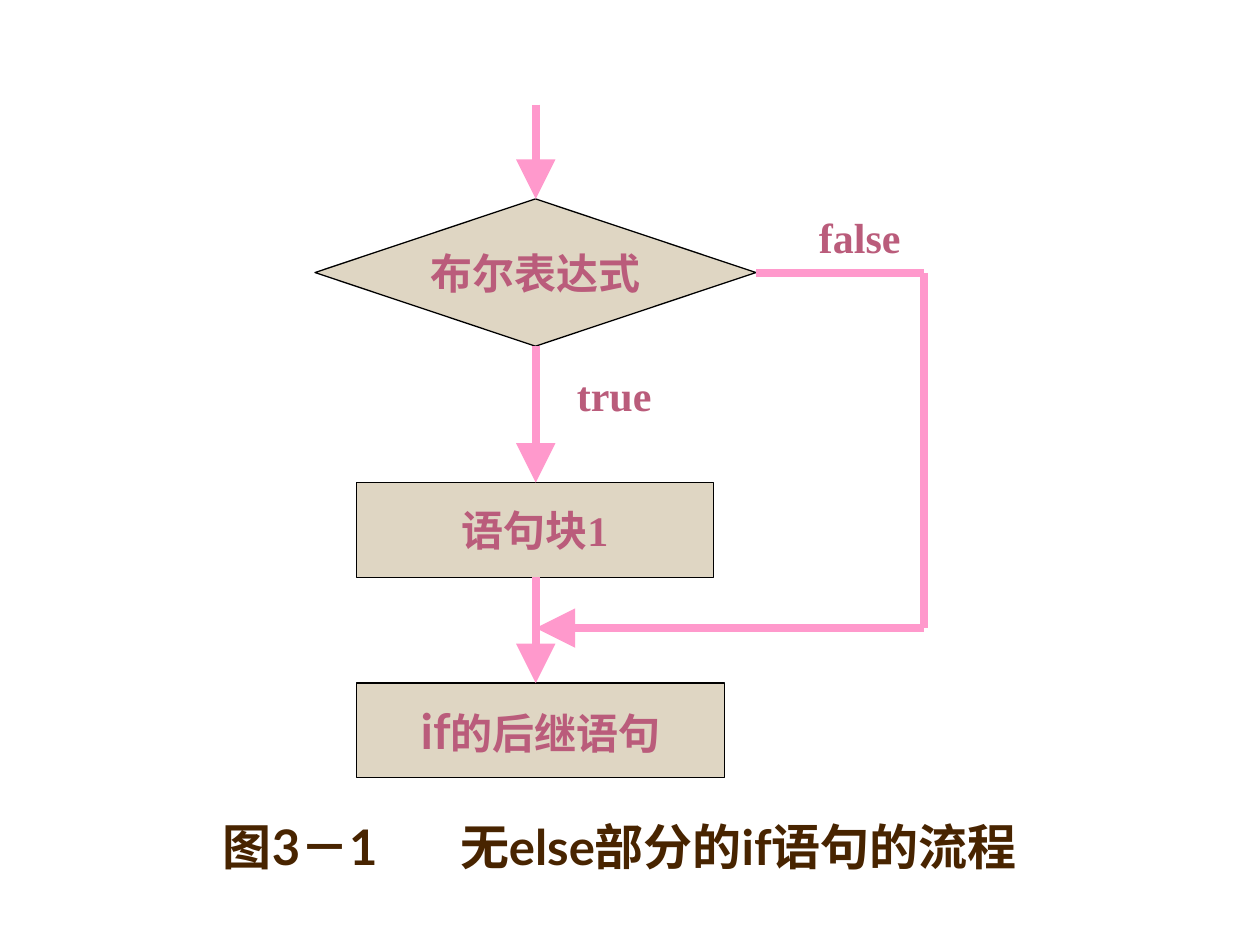
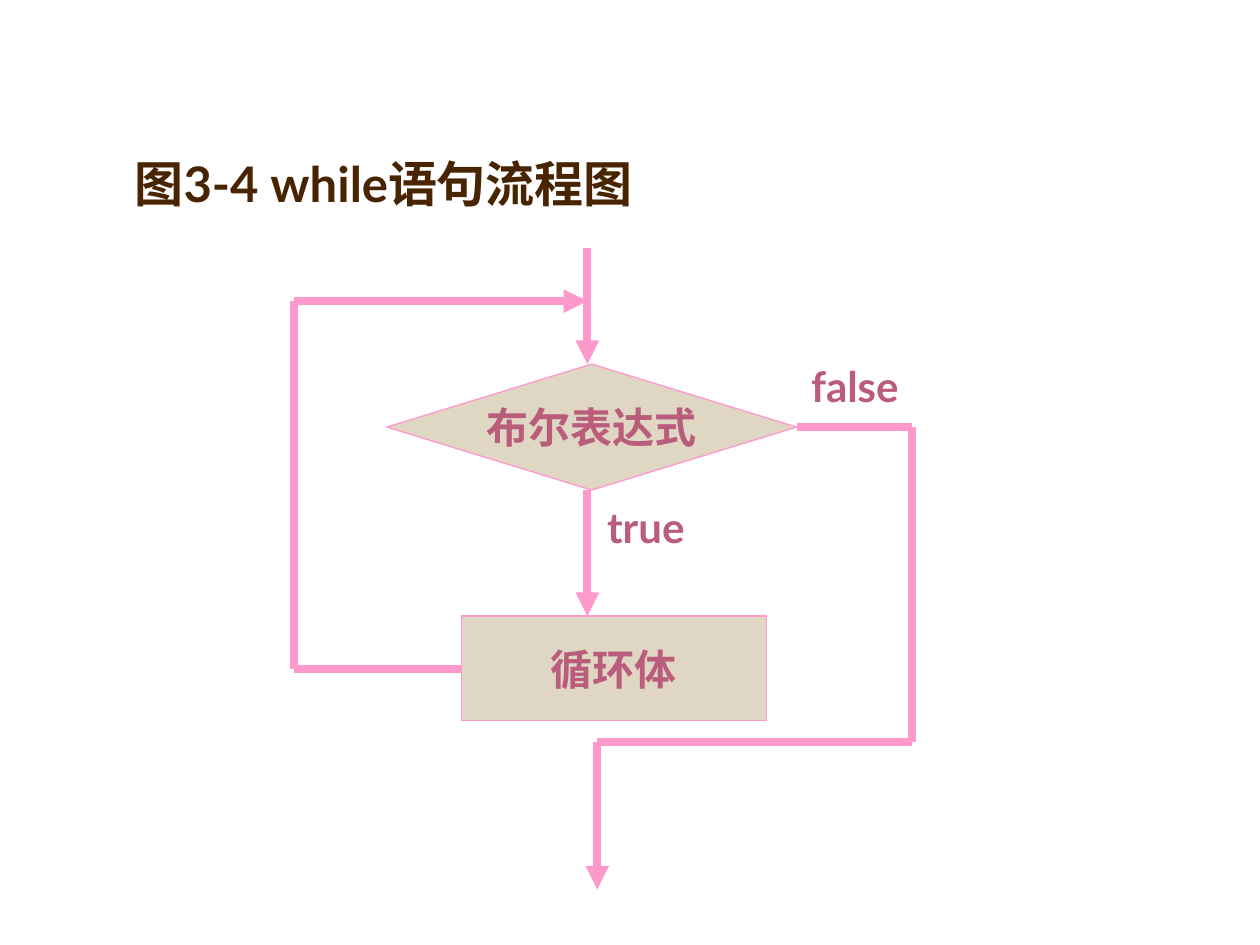
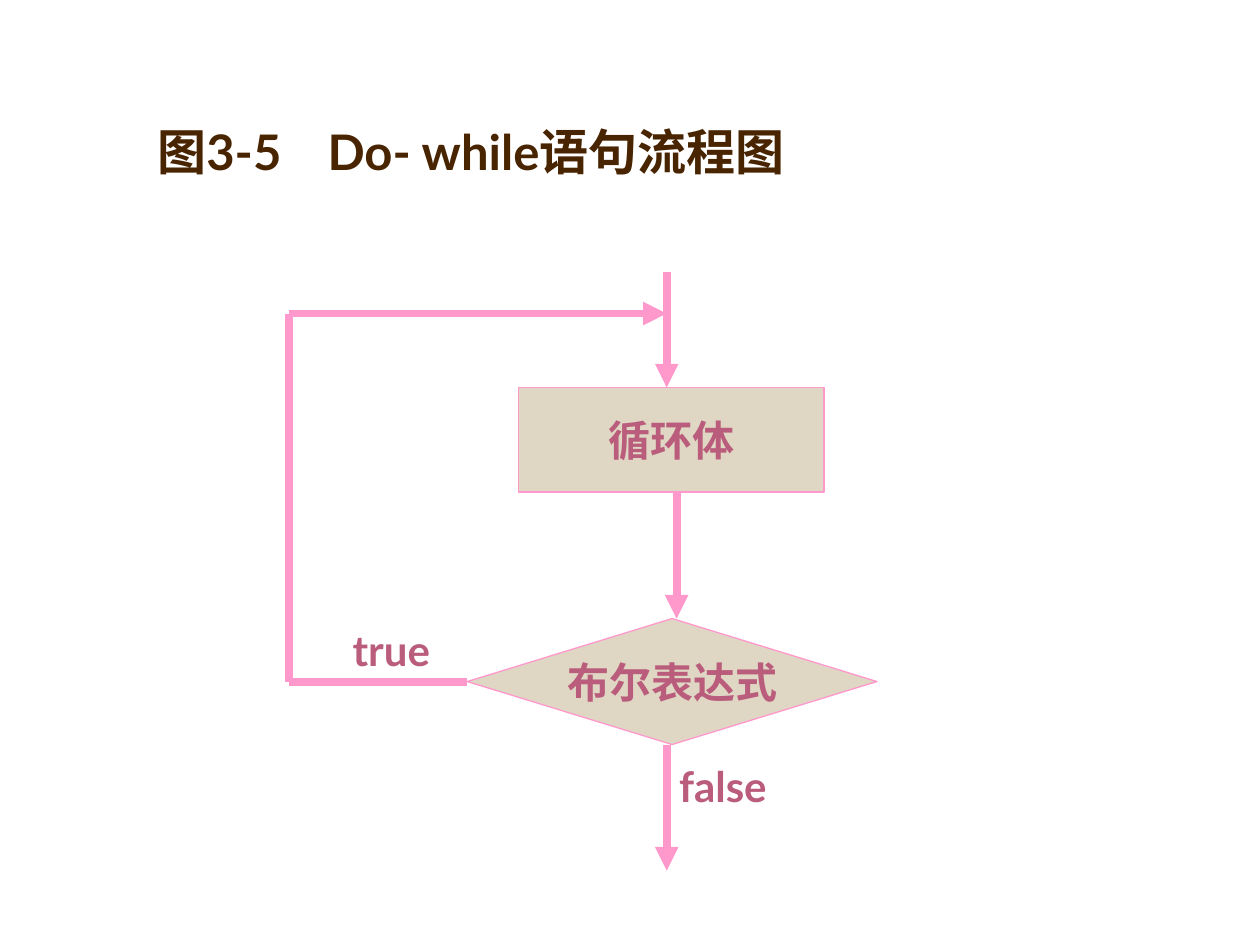
from itertools import pairwise

from lxml.etree import SubElement
from pptx import Presentation
from pptx.dml.color import RGBColor
from pptx.enum.lang import MSO_LANGUAGE_ID
from pptx.enum.shapes import MSO_CONNECTOR, MSO_SHAPE
from pptx.enum.text import MSO_ANCHOR, MSO_AUTO_SIZE, PP_ALIGN
from pptx.oxml.ns import qn
from pptx.util import Cm, Pt

PINK = RGBColor(0xFF, 0x99, 0xCC)
SAND = RGBColor(0xDF, 0xD6, 0xC3)
ROSE = RGBColor(0xBA, 0x5C, 0x7B)
BROWN = RGBColor(0x48, 0x24, 0x00)
BLACK = RGBColor(0x00, 0x00, 0x00)
SERIF = "Times New Roman"
SANS = "Lato"
LABEL_WIDTHS = {"true": 2.31, "false": 2.51}
LOOP_DIAMOND = (8.26, 2.54)
LOOP_BODY = (6.15, 2.11)


class Flowchart:
    def __init__(self, prs, outline=PINK, label_font=SANS, head="med"):
        self.slide = prs.slides.add_slide(prs.slide_layouts[5])
        self.outline = outline
        self.label_font = label_font
        self.head = head

    def format_run(self, r, font, size=24, color=ROSE):
        r.font.name = font
        r.font.size = Pt(size)
        r.font.bold = True
        r.font.color.rgb = color
        r.font.language_id = MSO_LANGUAGE_ID.SIMPLIFIED_CHINESE

    def title(self, text, x, y, w, tab=None):
        sp = self.slide.shapes.title
        sp.left, sp.top, sp.width, sp.height = Cm(x), Cm(y), Cm(w), Cm(1.45)
        tf = sp.text_frame
        tf.text = text
        tf.auto_size = MSO_AUTO_SIZE.NONE
        tf.vertical_anchor = MSO_ANCHOR.BOTTOM
        p = tf.paragraphs[0]
        p.alignment = PP_ALIGN.LEFT
        if tab:
            tabs = SubElement(p._p.get_or_add_pPr(), qn("a:tabLst"))
            SubElement(tabs, qn("a:tab"), pos=str(Cm(tab)), algn="l")
        self.format_run(p.runs[0], SANS, 28, BROWN)

    def node(self, kind, text, x, y, w, h, lead=None):
        sp = self.slide.shapes.add_shape(kind, Cm(x), Cm(y), Cm(w), Cm(h))
        sp.shadow.inherit = False
        sp.fill.solid()
        sp.fill.fore_color.rgb = SAND
        sp.line.color.rgb = self.outline
        sp.line.width = Pt(0.75)
        tf = sp.text_frame
        tf.word_wrap = False
        tf.vertical_anchor = MSO_ANCHOR.MIDDLE
        p = tf.paragraphs[0]
        p.alignment = PP_ALIGN.CENTER
        if lead:
            p.text = lead
            self.format_run(p.runs[0], SANS, 28)
        r = p.add_run()
        r.text = text
        self.format_run(r, SERIF)

    def decision(self, x, y, w, h):
        self.node(MSO_SHAPE.FLOWCHART_DECISION, "布尔表达式", x, y, w, h)

    def block(self, text, x, y, w, h, lead=None):
        self.node(MSO_SHAPE.RECTANGLE, text, x, y, w, h, lead)

    def label(self, text, x, y):
        sp = self.slide.shapes.add_textbox(Cm(x), Cm(y), Cm(LABEL_WIDTHS[text]), Cm(1.27))
        tf = sp.text_frame
        tf.text = text
        tf.word_wrap = False
        tf.auto_size = MSO_AUTO_SIZE.SHAPE_TO_FIT_TEXT
        self.format_run(tf.paragraphs[0].runs[0], self.label_font)

    def arrow(self, *points):
        for (x1, y1), (x2, y2) in pairwise(points):
            line = self.slide.shapes.add_connector(
                MSO_CONNECTOR.STRAIGHT, Cm(x1), Cm(y1), Cm(x2), Cm(y2))
            line.line.color.rgb = PINK
            line.line.width = Pt(4.5)
            SubElement(line._element.spPr, qn("a:effectLst"))
        SubElement(line.line._get_or_add_ln(), qn("a:tailEnd"),
                   type="triangle", w=self.head, len=self.head)

    def down(self, x, top, bottom):
        self.arrow((x, top), (x, bottom))


def if_slide(prs):
    s = Flowchart(prs, BLACK, SERIF, "lg")
    s.title("图3－1\t无else部分的if语句的流程", 4.24, 16.33, 20.96, tab=4.78)
    s.decision(6.35, 4.01, 8.89, 2.97)
    s.block("语句块1", 7.19, 9.73, 7.19, 1.91)
    s.block("的后继语句", 7.19, 13.77, 7.42, 1.91, lead="if")
    for top, bottom in ((2.11, 4.01), (6.98, 9.73), (11.64, 13.77)):
        s.down(10.8, top, bottom)
    s.arrow((15.24, 5.5), (18.62, 5.5), (18.62, 12.66), (10.8, 12.66))
    s.label("false", 16.26, 4.14)
    s.label("true", 11.38, 7.32)


def while_slide(prs):
    s = Flowchart(prs)
    s.title("图3-4 while语句流程图", 2.46, 2.95, 13.77)
    s.decision(7.8, 7.34, *LOOP_DIAMOND)
    s.block("循环体", 9.3, 12.42, *LOOP_BODY)
    s.down(11.84, 5, 7.34)
    s.down(11.84, 9.88, 12.42)
    s.arrow((9.3, 13.48), (5.92, 13.48), (5.92, 6.07), (11.84, 6.07))
    s.arrow((16.06, 8.61), (18.39, 8.61), (18.39, 14.96), (12.04, 14.96), (12.04, 17.93))
    s.label("false", 16.1, 7.14)
    s.label("true", 11.99, 9.98)


def do_while_slide(prs):
    s = Flowchart(prs)
    s.title("图3-5\tDo- while语句流程图", 2.92, 2.31, 15.04, tab=3.43)
    s.decision(9.42, 12.47, *LOOP_DIAMOND)
    s.block("循环体", 10.46, 7.81, *LOOP_BODY)
    s.down(13.44, 5.48, 7.81)
    s.down(13.64, 9.92, 12.47)
    s.down(13.44, 15.01, 17.55)
    s.arrow((9.42, 13.74), (5.82, 13.74), (5.82, 6.32), (13.44, 6.32))
    s.label("true", 6.86, 12.47)
    s.label("false", 13.44, 15.21)


def main():
    prs = Presentation()
    prs.slide_width, prs.slide_height = Cm(25.4), Cm(19.05)
    if_slide(prs)
    while_slide(prs)
    do_while_slide(prs)
    prs.save("out.pptx")


if __name__ == "__main__":
    main()
